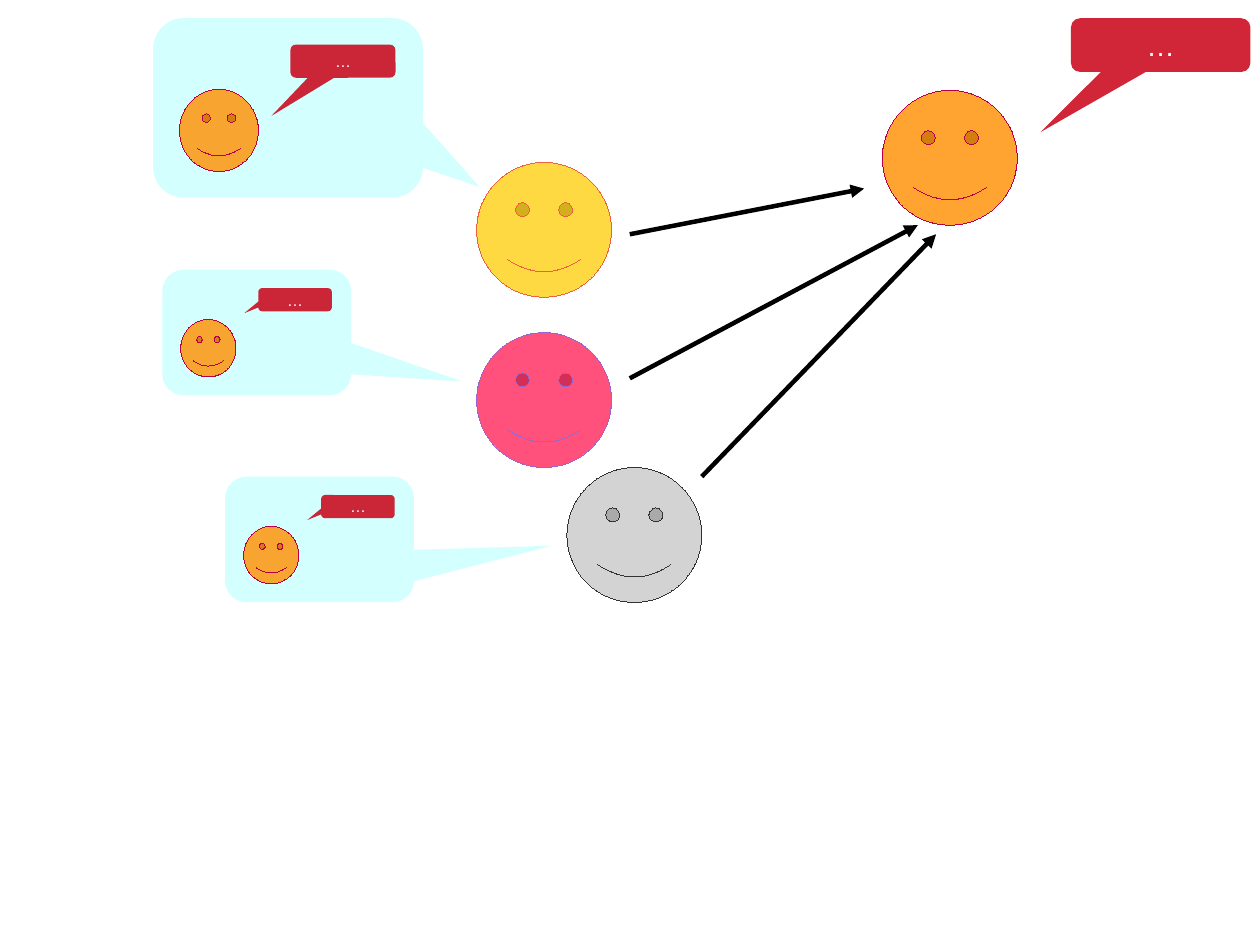
from dataclasses import dataclass

from pptx import Presentation
from pptx.dml.color import RGBColor as Rgb
from pptx.enum.shapes import MSO_CONNECTOR as Link, MSO_SHAPE as Kind
from pptx.enum.text import MSO_ANCHOR as Anchor, PP_ALIGN as Align
from pptx.oxml.ns import qn
from pptx.oxml.xmlchemy import OxmlElement as Node
from pptx.util import Inches, Pt


@dataclass(frozen=True)
class Theme:
    font: str = "Arial"
    large: int = 18
    small: int = 10
    text: str = "FFFFFF"
    speech: str = "C90016"
    cloud: str = "CCFFFF"
    arrow: str = "000000"
    stroke: float = 2.83
    alpha: int = 85
    # Each face has a fill and a line colour.
    orange: tuple = ("FF950E", "B80047")
    pink: tuple = ("FF3366", "9966CC")
    gray: tuple = ("CCCCCC", "333333")
    yellow: tuple = ("FFD320", "EB613D")


class Board:
    def __init__(self, slide, theme):
        self.slide = slide
        self.theme = theme

    def shape(self, kind, box, fill, line=None, adjust=()):
        item = self.slide.shapes.add_shape(kind, *map(Inches, box))
        item.shadow.inherit = False
        for i, value in enumerate(adjust):
            item.adjustments[i] = value
        item.fill.solid()
        item.fill.fore_color.rgb = Rgb.from_string(fill)
        alpha = Node("a:alpha")
        alpha.set("val", str(self.theme.alpha * 1000))
        item.element.spPr.find(qn("a:solidFill"))[0].append(alpha)
        if line:
            item.line.color.rgb = Rgb.from_string(line)
            # A zero set through line.width is dropped, so write it here.
            item.element.spPr.find(qn("a:ln")).set("w", "0")
        else:
            item.line.fill.background()
        return item

    def face(self, box, tone):
        self.shape(Kind.SMILEY_FACE, box, *tone)

    def bubble(self, box, tip, fill):
        return self.shape(Kind.ROUNDED_RECTANGULAR_CALLOUT, box, fill,
                          adjust=(*tip, 0.17))

    def speech(self, box, tip, size):
        frame = self.bubble(box, tip, self.theme.speech).text_frame
        frame.word_wrap = False
        frame.vertical_anchor = Anchor.MIDDLE
        para = frame.paragraphs[0]
        para.alignment = Align.CENTER
        run = para.add_run()
        run.text = "…"
        form = {"name": self.theme.font, "size": Pt(size)}
        for key, value in form.items():
            setattr(run.font, key, value)
        run.font.color.rgb = Rgb.from_string(self.theme.text)

    def thought(self, left, top, scale, tip, mouth):
        """Draw a cloud that holds a scaled orange face and its speech."""
        def part(x, y, wide, high):
            return (left + x * scale, top + y * scale,
                    wide * scale, high * scale)

        self.bubble(part(0, 0, 2.36, 1.57), tip, self.theme.cloud)
        self.face(part(0.23, 0.62, 0.69, 0.72), self.theme.orange)
        self.speech(part(1.2, 0.23, 0.92, 0.29), mouth, self.theme.small)

    def arrow(self, start, end):
        item = self.slide.shapes.add_connector(
            Link.STRAIGHT, *map(Inches, (*start, *end)))
        item.line.color.rgb = Rgb.from_string(self.theme.arrow)
        item.line.width = Pt(self.theme.stroke)
        tail = Node("a:tailEnd")
        tail.set("type", "triangle")
        item.element.spPr.find(qn("a:ln")).append(tail)
        item.element.spPr.append(Node("a:effectLst"))


def main():
    deck = Presentation()
    # The page is 28 by 21 centimetres.
    deck.slide_width, deck.slide_height = Inches(28 / 2.54), Inches(21 / 2.54)
    theme = Theme()
    board = Board(deck.slides.add_slide(deck.slide_layouts[6]), theme)

    side = 1.18
    for left, top, tone in (
        (7.72, 0.79, theme.orange),
        (4.17, 1.42, theme.yellow),
        (4.17, 2.91, theme.pink),
        (4.96, 4.09, theme.gray),
    ):
        board.face((left, top, side, side), tone)

    board.speech((9.37, 0.16, 1.57, 0.47), (-0.67, 1.62), theme.large)

    for left, top, scale, tip, mouth in (
        (1.34, 0.16, 1, (0.71, 0.44), (-0.68, 1.65)),
        (1.42, 2.36, 0.7, (1.09, 0.39), (-0.69, 0.58)),
        (1.97, 4.17, 0.7, (1.23, 0.05), (-0.69, 0.58)),
    ):
        board.thought(left, top, scale, tip, mouth)

    for start, end in (
        ((5.51, 2.05), (7.56, 1.65)),
        ((5.51, 3.31), (8.03, 1.97)),
        ((6.14, 4.17), (8.19, 2.05)),
    ):
        board.arrow(start, end)

    deck.save("out.pptx")


if __name__ == "__main__":
    main()
